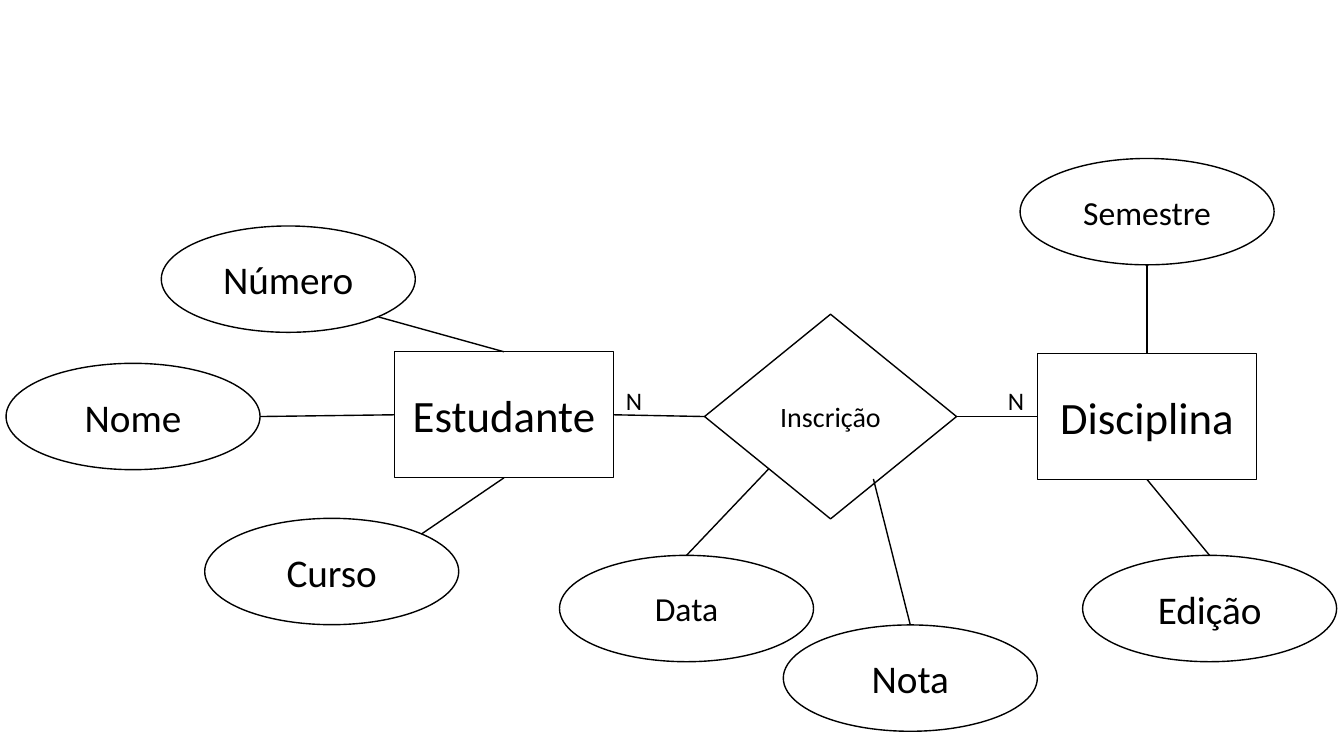
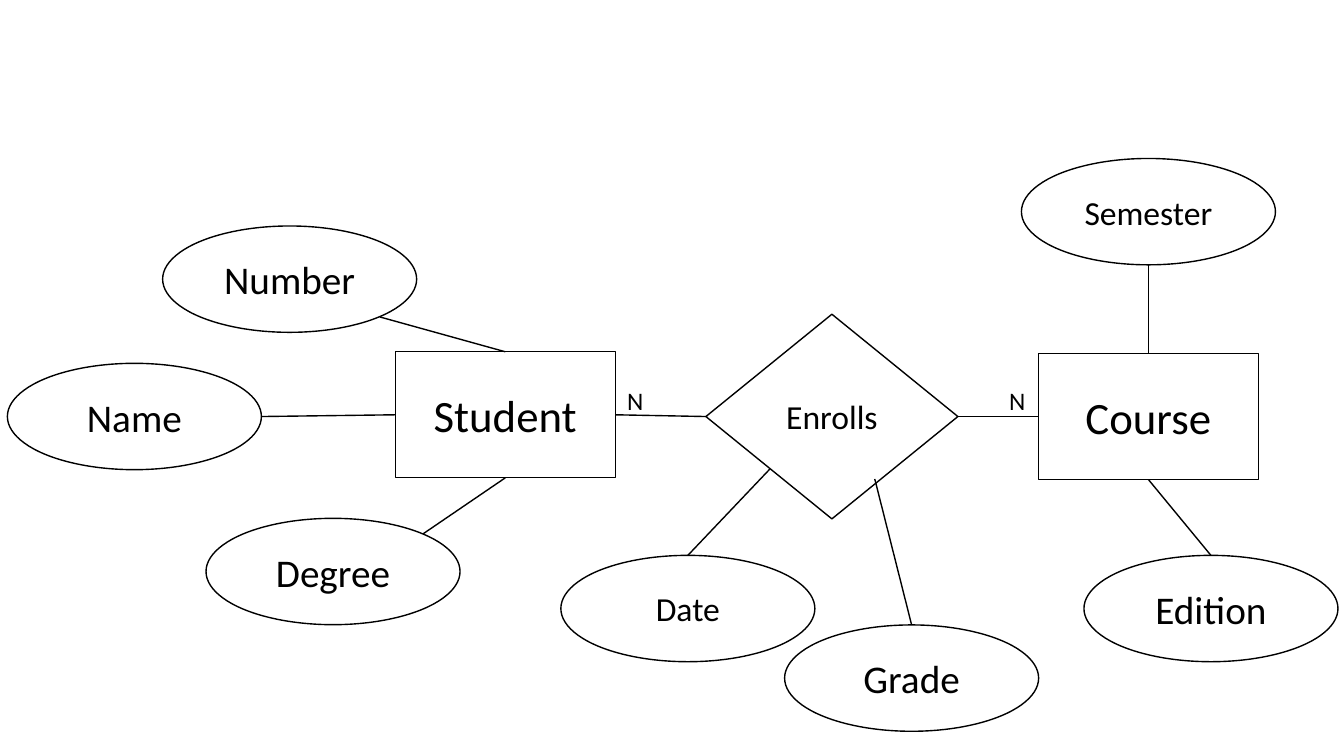
import dataclasses
import typing

import pptx
import pptx.dml.color
import pptx.enum.shapes
import pptx.enum.text
import pptx.oxml.ns
import pptx.slide
import pptx.util
from lxml import etree

Form = pptx.enum.shapes.MSO_SHAPE
Spot = tuple[float, float]


@dataclasses.dataclass(frozen=True)
class Theme:
    ink: pptx.dml.color.RGBColor = pptx.dml.color.RGBColor(0, 0, 0)
    font: str = "Calibri"
    huge: int = 32
    large: int = 28
    mid: int = 24
    small: int = 20
    mark: int = 18
    thin: float = 0.75
    line: float = 1


THEME = Theme()
WIDE = pptx.util.Inches(13.33)
HIGH = pptx.util.Inches(7.5)


class Kind(typing.NamedTuple):
    """Preset form, size in percent of the slide, and outline in points."""
    form: Form
    wide: float
    high: float
    line: float


ENTITY = Kind(Form.RECTANGLE, 16.35, 16.67, THEME.thin)
FIELD = Kind(Form.OVAL, 18.9, 14.07, THEME.line)
BOND = Kind(Form.DIAMOND, 18.75, 27.07, THEME.line)


@dataclasses.dataclass(frozen=True)
class Node:
    """One diagram element, with its centre in percent of the slide."""
    kind: Kind
    x: float
    y: float
    size: int = THEME.large

    def point(self, spot: Spot) -> Spot:
        """Turn a share of the half width and height into a slide point."""
        return (self.x + spot[0] * self.kind.wide / 2,
                self.y + spot[1] * self.kind.high / 2)


class Link(typing.NamedTuple):
    start: str
    leave: Spot
    end: str
    reach: Spot


class Page(typing.NamedTuple):
    words: dict[str, str]
    shift: float = 0
    sizes: dict[str, int] = {}


NODES = {
    "student": Node(ENTITY, 37.5, 54.87, THEME.huge),
    "number": Node(FIELD, 21.45, 36.93),
    "enrol": Node(BOND, 61.8, 55.1, THEME.mid),
    "course": Node(ENTITY, 85.35, 55.1, THEME.huge),
    "name": Node(FIELD, 9.9, 55.1),
    "degree": Node(FIELD, 24.68, 75.6),
    "date": Node(FIELD, 51.08, 80.5, THEME.mid),
    "grade": Node(FIELD, 67.73, 89.7),
    "term": Node(FIELD, 85.35, 28, THEME.mid),
    "issue": Node(FIELD, 90, 80.5),
}

TOP, LOW, LEFT, RIGHT = (0, -1), (0, 1), (-1, 0), (1, 0)
SLANT = 0.71

LINKS = [
    Link("number", (SLANT, SLANT), "student", TOP),
    Link("name", RIGHT, "student", LEFT),
    Link("degree", (SLANT, -SLANT), "student", LOW),
    Link("student", RIGHT, "enrol", LEFT),
    Link("enrol", RIGHT, "course", LEFT),
    Link("term", LOW, "course", TOP),
    Link("course", LOW, "issue", TOP),
    Link("enrol", (0.34, 0.61), "grade", TOP),
    Link("enrol", (-0.49, 0.51), "date", TOP),
]

MARKS = [(47.18, 52.93), (75.6, 52.93)]
MARK_WIDE, MARK_HIGH = 2.7, 5.33

PAGES = [
    Page({
        "student": "Estudante", "number": "Número", "enrol": "Inscrição",
        "course": "Disciplina", "name": "Nome", "degree": "Curso",
        "date": "Data", "grade": "Nota", "term": "Semestre",
        "issue": "Edição",
    }, sizes={"enrol": THEME.small}),
    Page({
        "student": "Student", "number": "Number", "enrol": "Enrolls",
        "course": "Course", "name": "Name", "degree": "Degree",
        "date": "Date", "grade": "Grade", "term": "Semester",
        "issue": "Edition",
    }, shift=0.1),
]


def across(share: float) -> int:
    return round(WIDE * share / 100)


def down(share: float) -> int:
    return round(HIGH * share / 100)


def frame(x: float, y: float, wide: float, high: float) -> tuple[int, ...]:
    """Give left, top, width and height of a box centred on x, y."""
    return (across(x - wide / 2), down(y - high / 2),
            across(wide), down(high))


def write(shape, text: str, size: int) -> None:
    run = shape.text_frame.paragraphs[0].add_run()
    run.text = text
    run.font.name = THEME.font
    run.font.size = pptx.util.Pt(size)
    run.font.color.rgb = THEME.ink


def stroke(line, width: float) -> None:
    line.color.rgb = THEME.ink
    line.width = pptx.util.Pt(width)


def draw_node(slide: pptx.slide.Slide, node: Node, text: str,
              size: int) -> None:
    kind = node.kind
    shape = slide.shapes.add_shape(
        kind.form, *frame(node.x, node.y, kind.wide, kind.high))
    shape.shadow.inherit = False
    shape.fill.background()
    stroke(shape.line, kind.line)
    body = shape.text_frame
    body.word_wrap = True
    body.margin_left = body.margin_right = 0
    body.vertical_anchor = pptx.enum.text.MSO_ANCHOR.MIDDLE
    body.paragraphs[0].alignment = pptx.enum.text.PP_ALIGN.CENTER
    write(shape, text, size)


def draw_link(slide: pptx.slide.Slide, start: Spot, end: Spot) -> None:
    line = slide.shapes.add_connector(
        pptx.enum.shapes.MSO_CONNECTOR.STRAIGHT,
        across(start[0]), down(start[1]), across(end[0]), down(end[1]))
    stroke(line.line, THEME.line)
    props = line._element.spPr
    etree.SubElement(props, pptx.oxml.ns.qn("a:effectLst"))


def draw_mark(slide: pptx.slide.Slide, x: float, y: float) -> None:
    """Write the cardinality beside a link."""
    box = slide.shapes.add_textbox(*frame(x, y, MARK_WIDE, MARK_HIGH))
    box.text_frame.word_wrap = False
    write(box, "N", THEME.mark)


def draw_page(slide: pptx.slide.Slide, page: Page) -> None:
    nodes = {key: dataclasses.replace(node, x=node.x + page.shift)
             for key, node in NODES.items()}
    for key, node in nodes.items():
        draw_node(slide, node, page.words[key],
                  page.sizes.get(key, node.size))
    for link in LINKS:
        draw_link(slide, nodes[link.start].point(link.leave),
                  nodes[link.end].point(link.reach))
    for x, y in MARKS:
        draw_mark(slide, x + page.shift, y)


def main() -> None:
    deck = pptx.Presentation()
    deck.slide_width, deck.slide_height = WIDE, HIGH
    blank = deck.slide_layouts.get_by_name("Blank")
    for page in PAGES:
        draw_page(deck.slides.add_slide(blank), page)
    deck.save("out.pptx")


if __name__ == "__main__":
    main()
